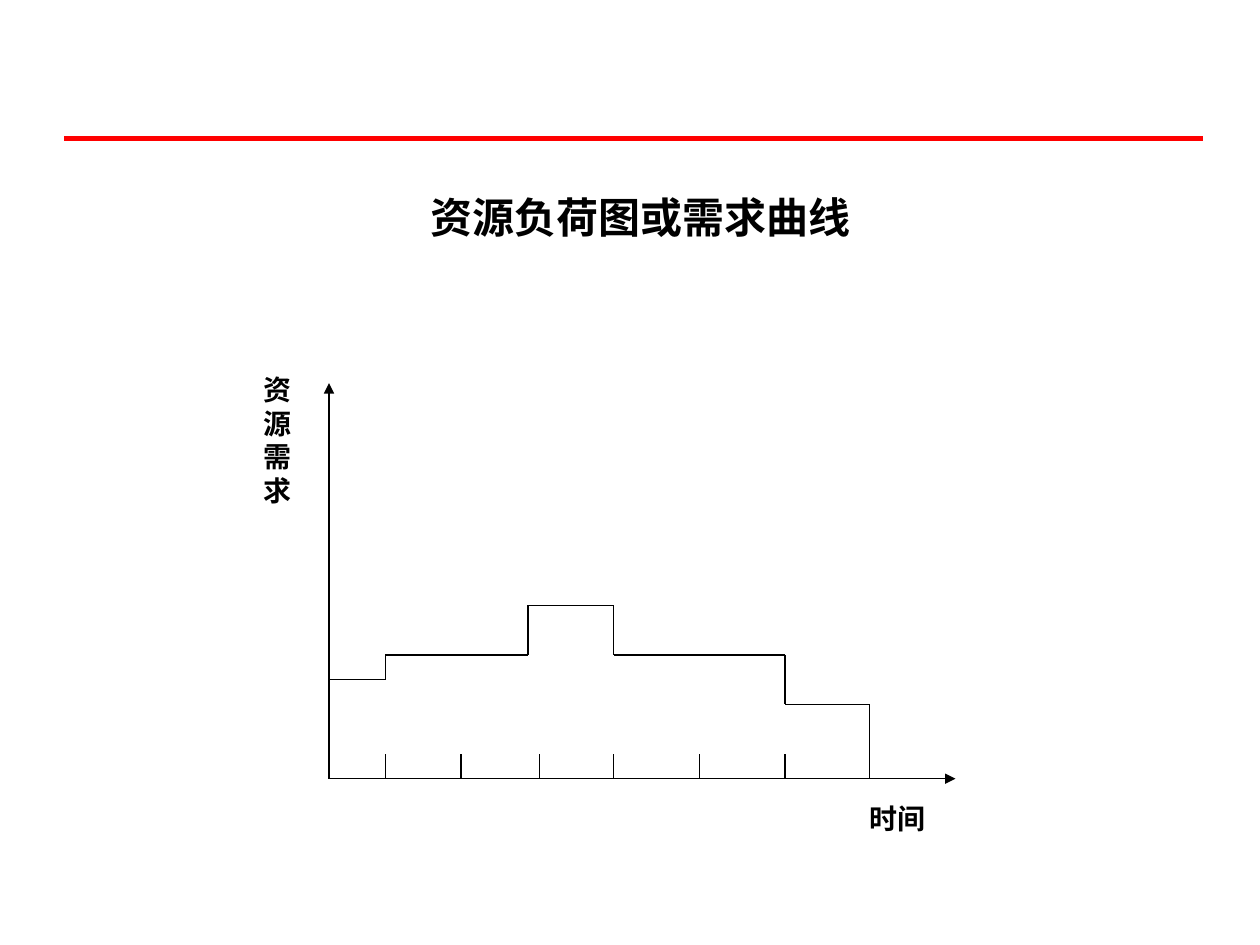
from lxml import etree
from pptx import Presentation
from pptx.dml.color import RGBColor
from pptx.enum.shapes import MSO_CONNECTOR
from pptx.enum.text import MSO_ANCHOR, MSO_AUTO_SIZE, PP_ALIGN
from pptx.oxml.ns import qn
from pptx.util import Pt

LINE = MSO_CONNECTOR.STRAIGHT
MIDDLE, TOP = MSO_ANCHOR.MIDDLE, MSO_ANCHOR.TOP
FIXED = MSO_AUTO_SIZE.NONE
LEFT, CENTER = PP_ALIGN.LEFT, PP_ALIGN.CENTER
BLACK = RGBColor(0, 0, 0)
RED = RGBColor(255, 0, 0)

BASE, UNIT = 445, 14.15
START, END, PEAK = 188, 546, 219
TICKS = [220.3, 263.5, 308.2, 350.6, 399.6, 448.6, 496.8]
STEPS = [(220.3, 4), (301.7, 5), (350.6, 7), (448.6, 5), (496.8, 3)]


def draw_line(slide, start, end, color=BLACK, width=0.75, arrow=False):
    """Draw a straight line between two points, with an optional arrowhead."""
    line = slide.shapes.add_connector(LINE, *map(Pt, start + end))
    line.line.color.rgb = color
    line.line.width = Pt(width)
    if arrow:
        head = etree.SubElement(line.line._get_or_add_ln(), qn("a:tailEnd"))
        head.set("type", "triangle")
    etree.SubElement(line._element.spPr, qn("a:effectLst"))


def write(shape, text, size, font, align=LEFT, anchor=TOP):
    """Fill a shape with one bold black line of text."""
    frame = shape.text_frame
    frame.word_wrap = True
    frame.auto_size = FIXED
    frame.vertical_anchor = anchor
    frame.margin_left = frame.margin_right = 0
    frame.margin_top = frame.margin_bottom = 0
    par = frame.paragraphs[0]
    par.alignment = align
    run = par.add_run()
    run.text = text
    run.font.size = Pt(size)
    run.font.name = font
    run.font.bold = True
    run.font.color.rgb = BLACK


def add_title(slide, text):
    """Place the slide heading in the title placeholder."""
    title = slide.shapes.title
    title.left, title.top = Pt(119.5), Pt(106)
    title.width, title.height = Pt(493), Pt(36)
    write(title, text, 24, "Arial", CENTER, MIDDLE)


def add_label(slide, text, *box):
    """Add an axis label in a box of left, top, width and height."""
    label = slide.shapes.add_textbox(*map(Pt, box))
    write(label, text, 16, "Times New Roman")


def draw_axes(slide):
    """Draw both axes and the time ticks."""
    draw_line(slide, (START, BASE), (END, BASE), arrow=True)
    draw_line(slide, (START, BASE), (START, PEAK), arrow=True)
    for x in TICKS:
        draw_line(slide, (x, BASE), (x, BASE - UNIT))


def draw_load(slide):
    """Draw the stepped load curve down to the time axis."""
    left = START
    drops = [load for _, load in STEPS[1:]] + [0]
    for (right, load), after in zip(STEPS, drops):
        y = BASE - load * UNIT
        draw_line(slide, (left, y), (right, y))
        draw_line(slide, (right, y), (right, BASE - after * UNIT))
        left = right


def main():
    """Build the resource load slide."""
    deck = Presentation()
    deck.slide_width, deck.slide_height = Pt(720), Pt(540)
    slide = deck.slides.add_slide(deck.slide_layouts[5])
    draw_line(slide, (36.7, 79.2), (687.6, 79.2), RED, 3)
    add_title(slide, "资源负荷图或需求曲线")
    draw_axes(slide)
    draw_load(slide)
    add_label(slide, "时间", 496.8, 458, 65, 28)
    add_label(slide, "资源需求", 150.5, 213, 22, 85)
    deck.save("out.pptx")


if __name__ == "__main__":
    main()
